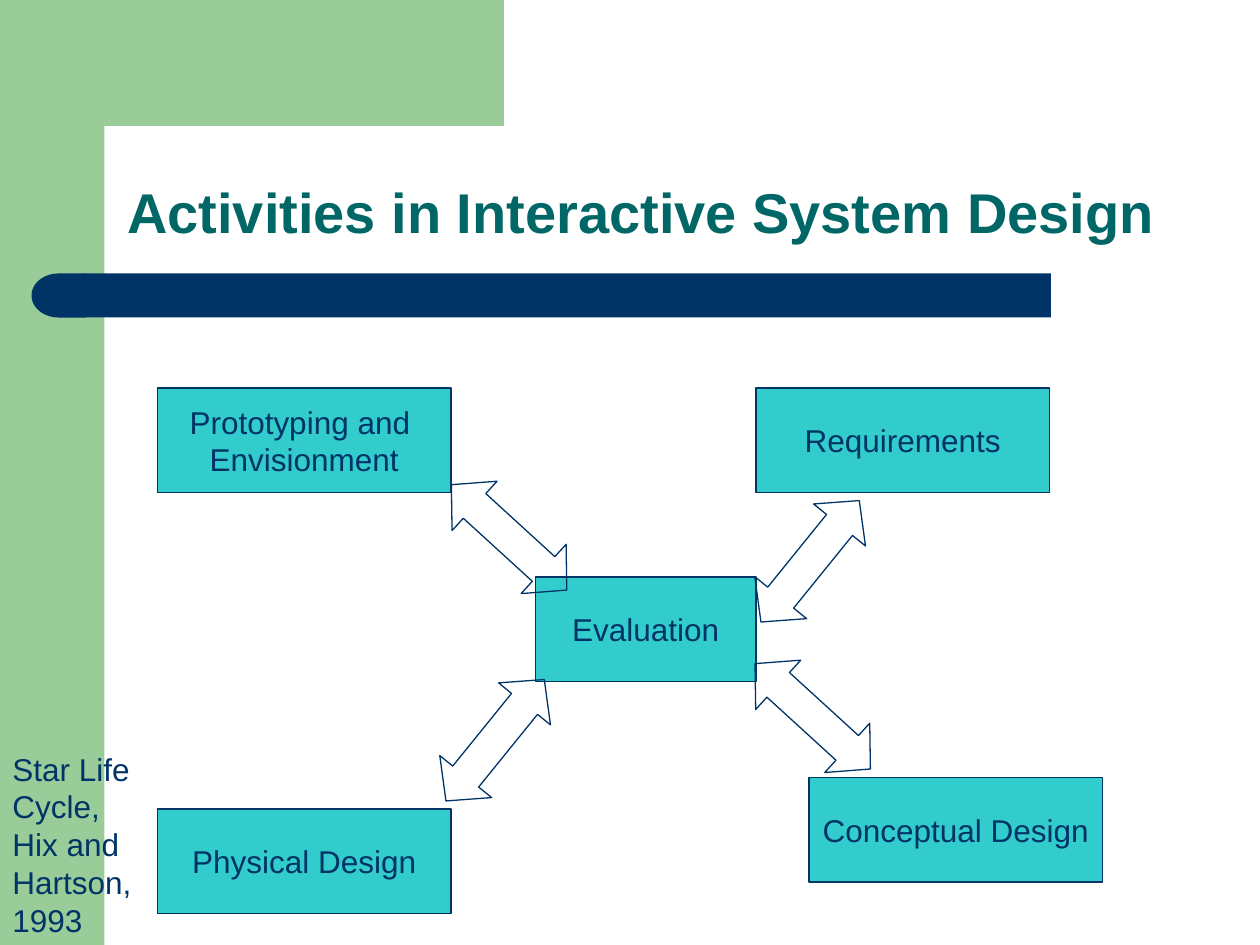
import math
from dataclasses import dataclass

import pptx
import pptx.dml.color
import pptx.enum.shapes
import pptx.enum.text
import pptx.util

Inches = pptx.util.Inches
Shape = pptx.enum.shapes.MSO_SHAPE
Align = pptx.enum.text.PP_ALIGN
Anchor = pptx.enum.text.MSO_ANCHOR

FONT = "Arial"
GREEN, NAVY, TEAL, TURQUOISE = "99CC99", "003366", "006666", "33CCCC"


@dataclass(frozen=True)
class Activity:
    lines: tuple[str, ...]
    left: float
    top: float
    width: float = 2.33
    height: float = 0.83


@dataclass(frozen=True)
class Exchange:
    """A two-way arrow between the evaluation and another activity."""
    left: float
    top: float
    rotation: float


ACTIVITIES = (
    Activity(("Prototyping and ", "Envisionment"), 1.25, 3.08),
    Activity(("Requirements",), 6, 3.08),
    Activity(("Evaluation",), 4.25, 4.58, width=1.75),
    Activity(("Physical Design",), 1.25, 6.42),
    Activity(("Conceptual Design",), 6.42, 6.17),
)
RISING, FALLING = 309, 222.4
EXCHANGES = (
    Exchange(5.81, 4.19, RISING),
    Exchange(3.31, 5.61, RISING),
    Exchange(5.83, 5.42, FALLING),
    Exchange(3.42, 4, FALLING),
)


def rgb(color: str) -> pptx.dml.color.RGBColor:
    return pptx.dml.color.RGBColor.from_string(color)


def paint(shape, fill: str | None, line: str | None = None) -> None:
    shape.shadow.inherit = False
    if fill:
        shape.fill.solid()
        shape.fill.fore_color.rgb = rgb(fill)
    else:
        shape.fill.background()
    if line:
        shape.line.color.rgb = rgb(line)
        shape.line.width = pptx.util.Pt(0.75)
    else:
        shape.line.fill.background()


def add_preset(slide, preset, left: float, top: float, width: float, height: float,
               fill: str | None, line: str | None = None):
    shape = slide.shapes.add_shape(
        preset, Inches(left), Inches(top), Inches(width), Inches(height))
    paint(shape, fill, line)
    return shape


def write(paragraph, text: str, size: float, color: str, bold: bool = False,
          align=Align.LEFT) -> None:
    paragraph.alignment = align
    run = paragraph.add_run()
    run.text = text
    run.font.name = FONT
    run.font.size = pptx.util.Pt(size)
    run.font.bold = bold
    run.font.color.rgb = rgb(color)


def add_corner(slide) -> None:
    """Draw the green top band with its rounded inner corner."""
    center, radius, steps = 1.16, 0.33, 16
    angles = [math.pi / 2 * step / steps for step in range(steps + 1)]
    arc = [(center - radius * math.sin(a), center - radius * math.cos(a)) for a in angles]
    outline = [(3.5, 0.83), *arc, (0.83, 1.28), (0.5, 1.28), (0.5, 0)]
    builder = slide.shapes.build_freeform(3.5, 0, scale=Inches(1))
    builder.add_line_segments(outline, close=True)
    paint(builder.convert_to_shape(), GREEN)


def add_decoration(slide) -> None:
    add_preset(slide, Shape.RECTANGLE, 0, 0, 0.83, 7.5, GREEN)
    add_corner(slide)
    add_preset(slide, Shape.RECTANGLE, 0.67, 2.17, 7.67, 0.35, NAVY)
    bar_end = add_preset(slide, Shape.FLOWCHART_DELAY, 0.25, 2.17, 0.43, 0.35, NAVY)
    bar_end.rotation = 180


def add_title(slide, text: str) -> None:
    title = slide.shapes.title
    title.left, title.top = Inches(0.91), Inches(0.91)
    title.width, title.height = Inches(8.51), Inches(1.09)
    frame = title.text_frame
    frame.vertical_anchor = Anchor.BOTTOM
    frame.auto_size = pptx.enum.text.MSO_AUTO_SIZE.NONE
    frame.paragraphs[0].line_spacing = 0.9
    write(frame.paragraphs[0], text, 32, TEAL, bold=True)


def add_activity(slide, activity: Activity) -> None:
    box = add_preset(slide, Shape.FLOWCHART_PROCESS, activity.left, activity.top,
                     activity.width, activity.height, TURQUOISE, NAVY)
    frame = box.text_frame
    frame.word_wrap = False
    frame.vertical_anchor = Anchor.MIDDLE
    for index, line in enumerate(activity.lines):
        paragraph = frame.add_paragraph() if index else frame.paragraphs[0]
        write(paragraph, line, 18, NAVY, align=Align.CENTER)


def add_exchange(slide, exchange: Exchange) -> None:
    arrow = add_preset(slide, Shape.LEFT_RIGHT_ARROW, exchange.left, exchange.top,
                       1.24, 0.53, None, NAVY)
    arrow.adjustments[0] = 0.5
    arrow.adjustments[1] = 0.47
    arrow.rotation = exchange.rotation


def add_citation(slide, text: str) -> None:
    citation = slide.shapes.add_textbox(Inches(0), Inches(5.9), Inches(1.25), Inches(1.6))
    citation.text_frame.word_wrap = True
    write(citation.text_frame.paragraphs[0], text, 18, NAVY)


def main() -> None:
    deck = pptx.Presentation()
    deck.slide_width, deck.slide_height = Inches(10), Inches(7.5)
    title_only = deck.slide_layouts[5]
    slide = deck.slides.add_slide(title_only)
    add_decoration(slide)
    add_title(slide, "Activities in Interactive System Design")
    for activity in ACTIVITIES:
        add_activity(slide, activity)
    for exchange in EXCHANGES:
        add_exchange(slide, exchange)
    add_citation(slide, "Star Life Cycle, Hix and Hartson, 1993")
    deck.save("out.pptx")


if __name__ == "__main__":
    main()
